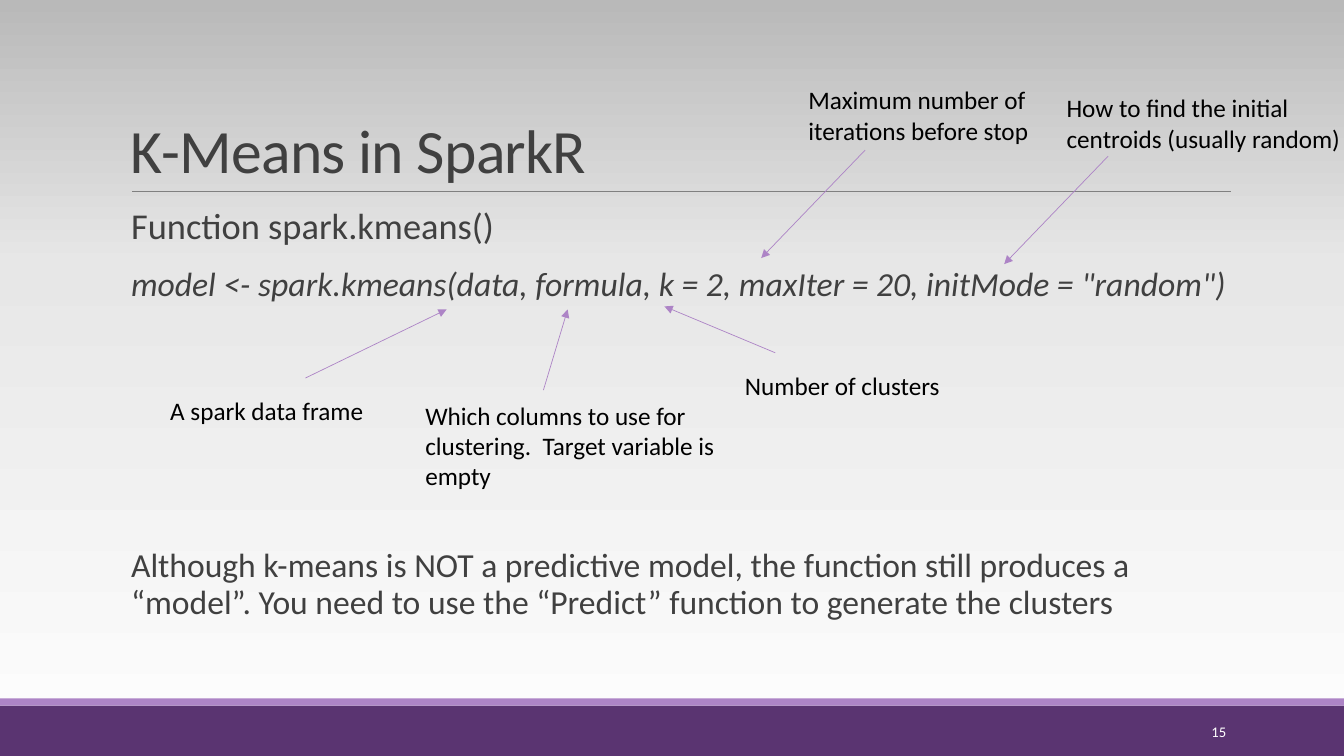
from copy import deepcopy
from lxml import etree
from pptx import Presentation, util as u
from pptx.dml.color import RGBColor
from pptx.enum import shapes, text
from pptx.oxml.ns import qn

PX = 9144
PLUM = RGBColor(0x5A, 0x34, 0x71)
LILAC = RGBColor(0xAD, 0x84, 0xC6)
GRAY = RGBColor(0x80, 0x80, 0x80)
DARK = RGBColor(0x40, 0x40, 0x40)
BLACK = RGBColor(0, 0, 0)
WHITE = RGBColor(255, 255, 255)
SHADES = [(0, "FEFEFE"), (65000, "E7E7E7"), (100000, "B9B9B9")]

deck = Presentation()
deck.slide_width, deck.slide_height = 1333 * PX, 750 * PX
slide = deck.slides.add_slide(deck.slide_layouts[6])


def write(words, box, size=18, color=BLACK, italic=False, wrap=True, frame=None, inset=10,
          anchor=text.MSO_ANCHOR.TOP, align=text.PP_ALIGN.LEFT, lead=1.0, before=0, after=0, track=0):
    if frame is None:
        frame = slide.shapes.add_textbox(*[n * PX for n in box]).text_frame
        frame.word_wrap = wrap
        frame.vertical_anchor = anchor
        frame.margin_left = inset * PX
        frame.margin_right = (10 if inset == 10 else 0) * PX
        para = frame.paragraphs[0]
    else:
        para = frame.add_paragraph()
    para.alignment = align
    para.line_spacing = lead
    para.space_before, para.space_after = u.Pt(before), u.Pt(after)
    run = para.add_run()
    run.text = words
    font = run.font
    font.name, font.size, font.italic = "Calibri", u.Pt(size), italic
    font.color.rgb = color
    if track:
        run._r.get_or_add_rPr().set("spc", str(track))
    return frame


def draw(ends, color, arrow=False):
    line = slide.shapes.add_connector(shapes.MSO_CONNECTOR.STRAIGHT, *[n * PX for n in ends])
    line.line.color.rgb = color
    line.line.width = u.Pt(0.5)
    if arrow:
        etree.SubElement(line.line._get_or_add_ln(), qn("a:tailEnd"), type="triangle")
    etree.SubElement(line._element.spPr, qn("a:effectLst"))


fill = slide.background.fill
fill.gradient()
fill.gradient_angle = 90
stops = fill.gradient_stops[0]._gs.getparent()
stops.insert(1, deepcopy(stops[0]))
for stop, (pos, shade) in zip(fill.gradient_stops, SHADES):
    stop.color.rgb = RGBColor.from_string(shade)
    stop._gs.set("pos", str(pos))

for top, high, color in [(700, 50, PLUM), (693, 7, LILAC)]:
    band = slide.shapes.add_shape(shapes.MSO_SHAPE.RECTANGLE, 0, top * PX, 1333 * PX, high * PX)
    band.shadow.inherit = False
    band.fill.solid()
    band.fill.fore_color.rgb = color
    band.line.fill.background()

draw((131, 190, 1221, 190), GRAY)
write("K-Means in SparkR", (120, 31, 1100, 159), size=44, color=DARK,
      anchor=text.MSO_ANCHOR.BOTTOM, lead=0.85, track=-50)

look = dict(color=DARK, lead=0.9, after=2, inset=9)
area = (121, 202, 1099, 440)
body = write("Function spark.kmeans()", area, size=26, before=12, **look)
write('model <- spark.kmeans(data, formula, k = 2, maxIter = 20, initMode = "random")',
      area, size=24, italic=True, before=12, frame=body, **look)
write("Although k-means is NOT a predictive model, the function still produces a “model”. "
      "You need to use the “Predict” function to generate the clusters",
      area, size=24, before=173, frame=body, **look)

write("15", (1083, 706, 143, 40), size=10.5, color=WHITE,
      anchor=text.MSO_ANCHOR.MIDDLE, align=text.PP_ALIGN.RIGHT)

notes = [
    ("A spark data frame", (159, 387, 214, 40), (303, 375, 443, 307), False),
    ("Which columns to use for clustering.  Target variable is empty",
     (412, 392, 333, 101), (539, 387, 563, 307), True),
    ("Number of clusters", (729, 362, 229, 40), (769, 350, 659, 304), True),
    ("Maximum number of iterations before stop",
     (792, 79, 287, 71), (858, 149, 755, 256), True),
    ("How to find the initial centroids (usually random)",
     (1048, 87, 299, 71), (1099, 155, 996, 262), True),
]
for words, box, ends, wrap in notes:
    draw(ends, LILAC, arrow=True)
    write(words, box, wrap=wrap)

deck.save("out.pptx")
